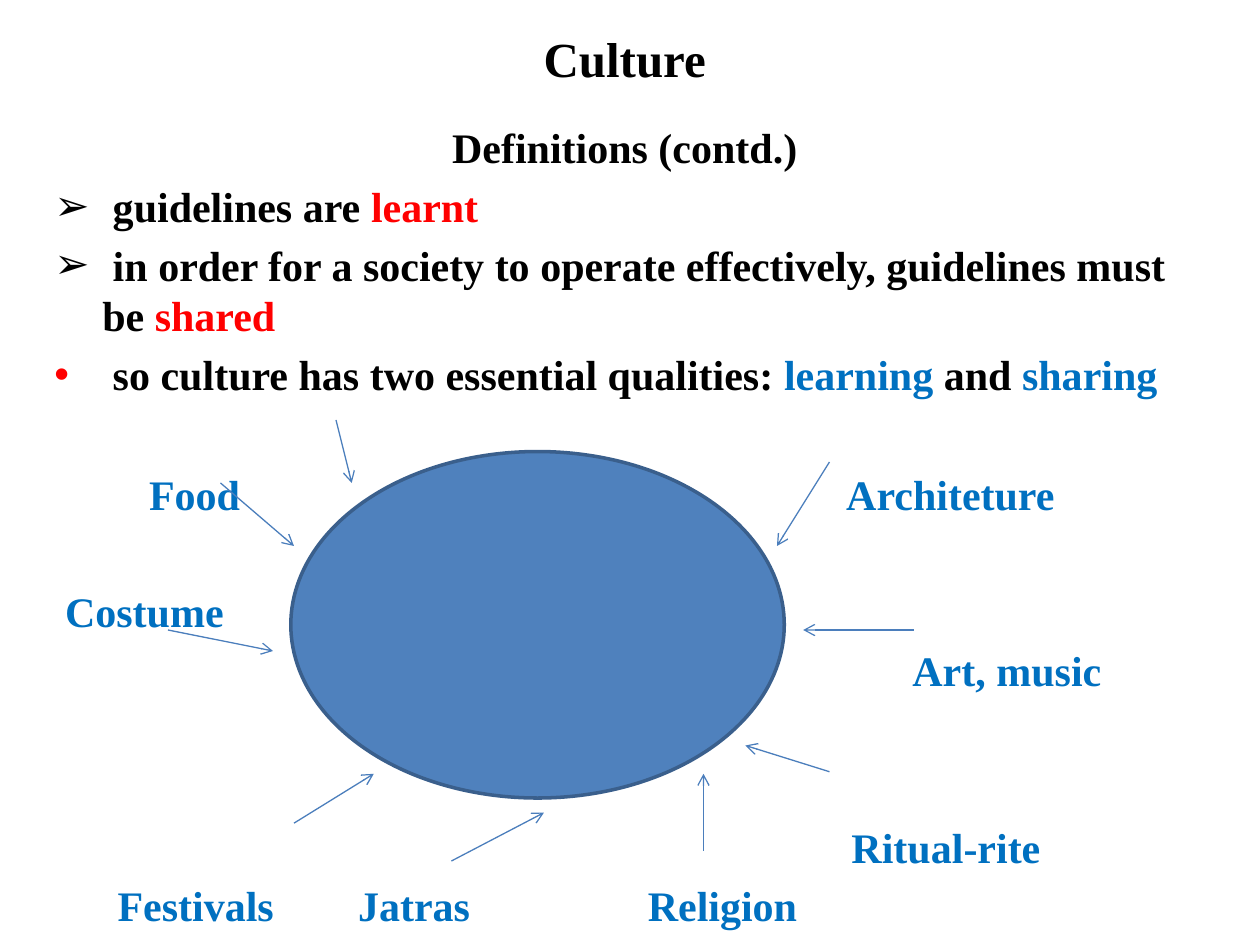
from lxml.etree import SubElement
from pptx import Presentation
from pptx.dml.color import RGBColor
from pptx.enum.shapes import MSO_CONNECTOR as CONN, MSO_SHAPE as SHAPE
from pptx.enum.text import MSO_ANCHOR as ANCHOR, PP_ALIGN as ALIGN
from pptx.oxml.ns import qn
from pptx.util import Inches, Pt

BLACK = RGBColor(0x00, 0x00, 0x00)
RED = RGBColor(0xFF, 0x00, 0x00)
BLUE = RGBColor(0x00, 0x70, 0xC0)
FILL = RGBColor(0x4F, 0x81, 0xBD)
OUTLINE = RGBColor(0x3A, 0x5F, 0x8C)
ARROW = RGBColor(0x4B, 0x7E, 0xBC)

WIDTH, HEIGHT = Inches(10), Inches(7.5)
COLS, ROWS = 120, 90
LABEL_TOP, LABEL_PITCH = 33.4, 5.6

BULLETS = [
    ("➢", BLACK, [(" guidelines are ", BLACK), ("learnt", RED)]),
    ("➢", BLACK, [(" in order for a society to operate effectively, "
                   "guidelines must be ", BLACK), ("shared", RED)]),
    ("•", RED, [(" so culture has two essential qualities: ", BLACK),
                ("learning", BLUE), (" and ", BLACK), ("sharing", BLUE)]),
]
LABELS = [
    ("Food", 14.2, 2), ("Architeture", 80.6, 2), ("Costume", 6.2, 4),
    ("Art, music", 86.9, 5), ("Ritual-rite", 81.1, 8),
    ("Festivals", 11.2, 9), ("Jatras", 34.1, 9), ("Religion", 61.7, 9),
]
ARROWS = [
    (79, 73.5, 71, 71), (79, 44, 74, 52), (21, 46, 28, 52),
    (32, 40, 33.5, 46), (16, 60, 26, 62), (87, 60, 76.5, 60),
    (67, 81, 67, 73.7), (28, 78.4, 35.6, 73.7), (43, 82, 51.8, 77.4),
]


def grid(x, y, *more):
    """Turn alternating columns and rows into lengths."""
    return [int(v * (HEIGHT / ROWS if i % 2 else WIDTH / COLS))
            for i, v in enumerate((x, y, *more))]


def add_runs(p, parts, size=24):
    """Add bold coloured runs to a paragraph."""
    for text, color in parts:
        r = p.add_run()
        r.text = text
        fmt = {"name": "Times New Roman", "size": Pt(size), "bold": True}
        for key, value in fmt.items():
            setattr(r.font, key, value)
        r.font.color.rgb = color


def add_box(s, at, **fmt):
    """Add a wrapping text box and return its text frame."""
    tf = s.shapes.add_textbox(*grid(*at)).text_frame
    for key, value in {"word_wrap": True, **fmt}.items():
        setattr(tf, key, value)
    return tf


def add_heading(tf, text, size):
    """Write a centred heading in the first paragraph."""
    p = tf.paragraphs[0]
    p.alignment = ALIGN.CENTER
    add_runs(p, [(text, BLACK)], size)


def add_bullet(tf, char, color, parts):
    """Add a paragraph with a hanging coloured bullet."""
    p = tf.add_paragraph()
    p.space_before = Pt(4.8)
    add_runs(p, parts)
    pPr = p._p.get_or_add_pPr()
    pPr.set("marL", str(Inches(0.38)))
    pPr.set("indent", str(-Inches(0.38)))
    clr = SubElement(pPr, qn("a:buClr"))
    SubElement(clr, qn("a:srgbClr"), val=str(color))
    SubElement(pPr, qn("a:buFont"), typeface="Arial")
    SubElement(pPr, qn("a:buChar"), char=char)


def add_label(s, text, col, line):
    """Add one element of culture on its text line."""
    margins = {f"margin_{side}": 0 for side in ("left", "top", "right", "bottom")}
    tf = add_box(s, (col, LABEL_TOP + line * LABEL_PITCH, 24, 5), **margins)
    add_runs(tf.paragraphs[0], [(text, BLUE)])


def add_ellipse(s, at):
    """Add the central ellipse."""
    sp = s.shapes.add_shape(SHAPE.OVAL, *grid(*at))
    sp.shadow.inherit = False
    sp.fill.solid()
    sp.fill.fore_color.rgb = FILL
    sp.line.color.rgb = OUTLINE
    sp.line.width = Pt(2)


def add_arrow(s, ends):
    """Add a thin arrow with an open head."""
    sp = s.shapes.add_connector(CONN.STRAIGHT, *grid(*ends))
    sp.line.color.rgb = ARROW
    sp.line.width = Pt(0.75)
    SubElement(sp.line._get_or_add_ln(), qn("a:tailEnd"), type="arrow")
    SubElement(sp._element.spPr, qn("a:effectLst"))


def main():
    """Build the culture slide."""
    prs = Presentation()
    prs.slide_width, prs.slide_height = WIDTH, HEIGHT
    s = prs.slides.add_slide(prs.slide_layouts[6])
    title = add_box(s, (5, 3, 109, 5), vertical_anchor=ANCHOR.MIDDLE)
    add_heading(title, "Culture", 28)
    body = add_box(s, (4, 11, 111, 28))
    add_heading(body, "Definitions (contd.)", 24)
    for bullet in BULLETS:
        add_bullet(body, *bullet)
    for label in LABELS:
        add_label(s, *label)
    add_ellipse(s, (27.7, 43, 47, 33))
    for ends in ARROWS:
        add_arrow(s, ends)
    prs.save("out.pptx")


if __name__ == "__main__":
    main()
